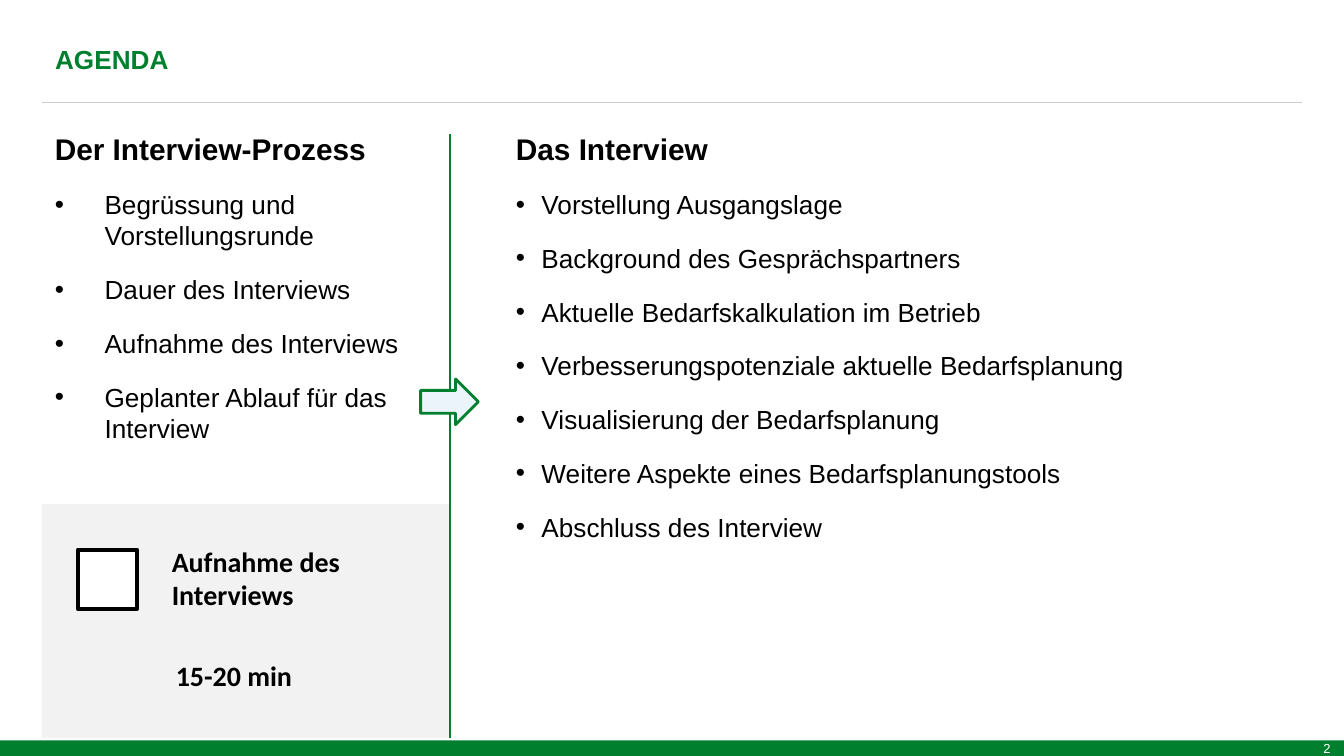
"""Build the agenda slide of an interview guide."""
from dataclasses import dataclass

import lxml.etree
import pptx
import pptx.dml.color
import pptx.enum.shapes
import pptx.enum.text
import pptx.oxml.ns
import pptx.util

Inches, Pt = pptx.util.Inches, pptx.util.Pt
PRESET = pptx.enum.shapes.MSO_SHAPE
ALIGN = pptx.enum.text.PP_ALIGN
ANCHOR = pptx.enum.text.MSO_ANCHOR
COLORS = {
    "green": "00802F",
    "rule": "CCCCCC",
    "panel": "F2F2F2",
    "arrow": "EAF4FA",
    "black": "000000",
    "white": "FFFFFF",
}


@dataclass(frozen=True)
class Box:
    left: float
    top: float
    width: float
    height: float

    def lengths(self) -> tuple:
        return tuple(Inches(v) for v in (self.left, self.top, self.width, self.height))


@dataclass(frozen=True)
class Column:
    box: Box
    heading: str
    indent: float
    topics: tuple


@dataclass(frozen=True)
class Note:
    box: Box
    text: str


COLUMNS = (
    Column(Box(0.31, 0.92, 2.87, 2.83), "Der Interview-Prozess", 0.37, (
        "Begrüssung und Vorstellungsrunde",
        "Dauer des Interviews",
        "Aufnahme des Interviews",
        "Geplanter Ablauf für das Interview",
    )),
    Column(Box(3.74, 0.92, 5.95, 3.2), "Das Interview", 0.19, (
        "Vorstellung Ausgangslage",
        "Background des Gesprächspartners",
        "Aktuelle Bedarfskalkulation im Betrieb",
        "Verbesserungspotenziale aktuelle Bedarfsplanung",
        "Visualisierung der Bedarfsplanung",
        "Weitere Aspekte eines Bedarfsplanungstools",
        "Abschluss des Interview",
    )),
)
NOTES = (
    Note(Box(1.18, 4, 1.77, 0.61), "Aufnahme des Interviews"),
    Note(Box(1.21, 4.85, 1.44, 0.35), "15-20 min"),
)


def rgb(color: str) -> pptx.dml.color.RGBColor:
    return pptx.dml.color.RGBColor.from_string(COLORS[color])


def write(paragraph, text: str, *, size: float = 14, font: str = "Arial",
          color: str = "black", bold: bool = False, align=ALIGN.LEFT,
          after: float = 0, indent: float = 0) -> None:
    if indent:
        properties = paragraph._p.get_or_add_pPr()
        properties.set("marL", str(Inches(indent)))
        properties.set("indent", str(-Inches(indent)))
        qn = pptx.oxml.ns.qn
        lxml.etree.SubElement(properties, qn("a:buFont"), typeface="Arial")
        lxml.etree.SubElement(properties, qn("a:buChar"), char="•")
    paragraph.alignment = align
    paragraph.space_after = Pt(after)
    run = paragraph.add_run()
    run.text = text
    run.font.size = Pt(size)
    run.font.name = font
    run.font.bold = bold
    run.font.color.rgb = rgb(color)


def add_frame(slide, box: Box):
    frame = slide.shapes.add_textbox(*box.lengths()).text_frame
    frame.word_wrap = True
    return frame


def add_column(slide, column: Column) -> None:
    frame = add_frame(slide, column.box)
    write(frame.paragraphs[0], column.heading, size=16, bold=True, after=12)
    for topic in column.topics:
        write(frame.add_paragraph(), topic, after=12, indent=column.indent)


def add_preset(slide, preset, box: Box, fill: str, line: str = "", weight: float = 0):
    shape = slide.shapes.add_shape(preset, *box.lengths())
    shape.shadow.inherit = False
    shape.fill.solid()
    shape.fill.fore_color.rgb = rgb(fill)
    if line:
        shape.line.color.rgb = rgb(line)
        shape.line.width = Pt(weight)
    else:
        shape.line.fill.background()
    return shape


def add_rule(slide, start: tuple, end: tuple, color: str, weight: float) -> None:
    rule = slide.shapes.add_connector(
        pptx.enum.shapes.MSO_CONNECTOR.STRAIGHT, *(Inches(v) for v in start + end))
    rule.line.color.rgb = rgb(color)
    rule.line.width = Pt(weight)
    lxml.etree.SubElement(rule._element.spPr, pptx.oxml.ns.qn("a:effectLst"))


def add_title(slide, text: str, box: Box) -> None:
    title = slide.shapes.title
    title.left, title.top, title.width, title.height = box.lengths()
    frame = title.text_frame
    frame.auto_size = pptx.enum.text.MSO_AUTO_SIZE.NONE
    frame.vertical_anchor = ANCHOR.TOP
    write(frame.paragraphs[0], text, color="green", bold=True)


def add_footer(slide, number: str) -> None:
    footer = add_preset(slide, PRESET.RECTANGLE, Box(0, 5.51, 10, 0.12), "green")
    frame = footer.text_frame
    frame.margin_top = frame.margin_bottom = 0
    frame.vertical_anchor = ANCHOR.MIDDLE
    write(frame.paragraphs[0], number, size=7, color="white", align=ALIGN.RIGHT)


def main() -> None:
    deck = pptx.Presentation()
    deck.slide_width = Inches(10)
    deck.slide_height = deck.slide_width * 9 // 16
    slide = deck.slides.add_slide(deck.slide_layouts.get_by_name("Title Only"))
    add_footer(slide, "2")
    add_rule(slide, (0.31, 0.76), (9.69, 0.76), "rule", 0.5)
    add_preset(slide, PRESET.RECTANGLE, Box(0.31, 3.75, 3.03, 1.74), "panel")
    add_title(slide, "AGENDA", Box(0.31, 0.27, 7.87, 0.34))
    for column in COLUMNS:
        add_column(slide, column)
    add_rule(slide, (3.35, 1), (3.35, 5.49), "green", 0.79)
    add_preset(slide, PRESET.RECTANGLE, Box(0.58, 4.09, 0.44, 0.44), "white", "black", 2.25)
    for note in NOTES:
        write(add_frame(slide, note.box).paragraphs[0], note.text,
              size=15, font="Calibri", bold=True)
    add_preset(slide, PRESET.RIGHT_ARROW, Box(3.13, 2.82, 0.43, 0.34), "arrow", "green", 1.5)
    deck.save("out.pptx")


if __name__ == "__main__":
    main()
